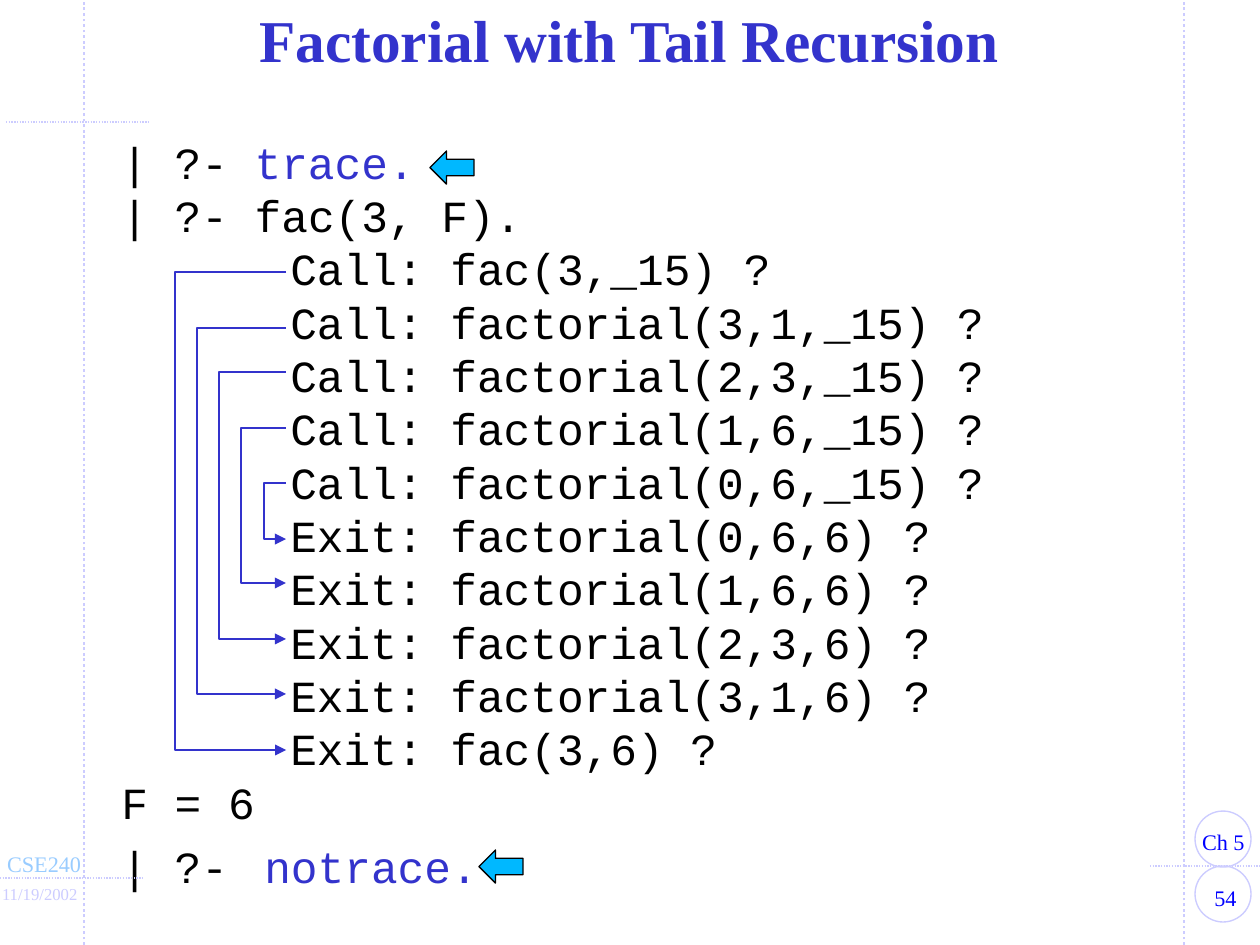
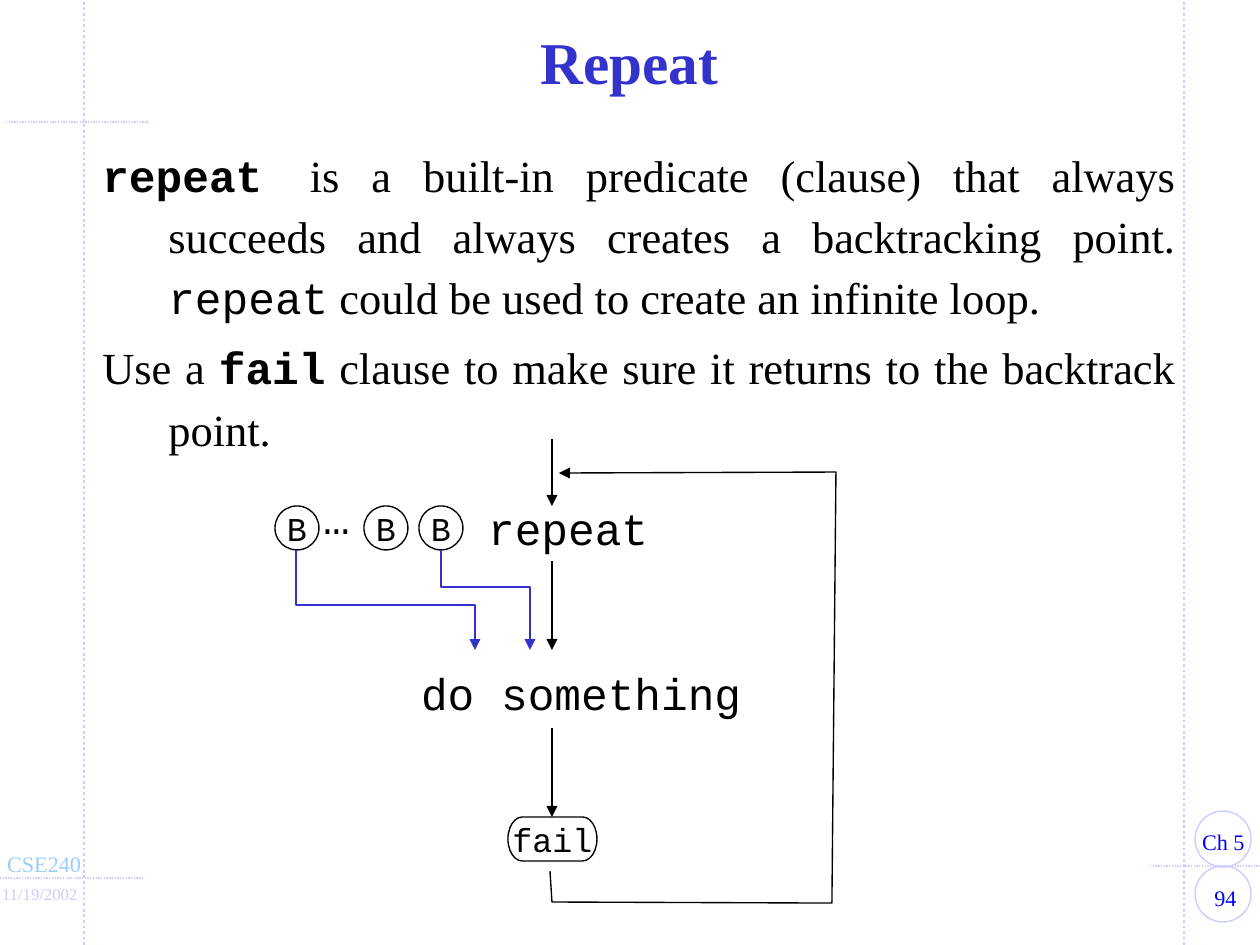
"""Build two slides on Prolog tracing and the repeat predicate."""
from lxml import etree
from pptx import Presentation
from pptx.dml.color import RGBColor
from pptx.enum.dml import MSO_LINE
from pptx.enum.shapes import MSO_CONNECTOR, MSO_SHAPE
from pptx.enum.text import MSO_ANCHOR, MSO_AUTO_SIZE, PP_ALIGN
from pptx.oxml.ns import qn
from pptx.util import Pt

PX = 6858
WIDTH, HEIGHT = 1260, 945
SERIF, MONO = "Times New Roman", "Courier New"
COLORS = {"accent": "3333CC", "text": "000000", "guide": "CCCCFF",
          "course": "99CCFF", "badge": "0000FF", "pointer": "00B8FF"}
LEFT, CENTER, JUSTIFY = PP_ALIGN.LEFT, PP_ALIGN.CENTER, PP_ALIGN.JUSTIFY
TOP, MIDDLE = MSO_ANCHOR.TOP, MSO_ANCHOR.MIDDLE
NO_FIT, GROW = MSO_AUTO_SIZE.NONE, MSO_AUTO_SIZE.SHAPE_TO_FIT_TEXT
STRAIGHT, DOTTED = MSO_CONNECTOR.STRAIGHT, MSO_LINE.ROUND_DOT
OVAL, TERMINATOR = MSO_SHAPE.OVAL, MSO_SHAPE.FLOWCHART_TERMINATOR
LEFT_ARROW = MSO_SHAPE.LEFT_ARROW

GUIDES = [((84, 945), (84, 0), 1.5), ((0, 878), (144, 878), 0.75),
          ((1184, 945), (1184, 0), 1.5), ((1150, 866), (1260, 866), 0.75),
          ((6, 122), (150, 122), 0.75)]
BADGES = [(1195, 866, 56, 56), (1195, 811, 56, 56)]
CHAPTER = ("Ch 5", (1189, 822, 69, 40), 12, "badge")
COURSE = ("CSE240", (-6, 844, 101, 40), 12, "course")
DATE = ("11/19/2002", (-11, 877, 103, 33), 9, "guide")
NUMBER_BOX = (1189, 878, 73, 40)

TRACE_TITLE = "Factorial with Tail Recursion"
FLUSH, CALL_INDENT, LAST_INDENT = (0, 0), (169, 0), (143, -143)
CALLS = ["Call: fac(3,_15) ?", "Call: factorial(3,1,_15) ?",
         "Call: factorial(2,3,_15) ?", "Call: factorial(1,6,_15) ?",
         "Call: factorial(0,6,_15) ?", "Exit: factorial(0,6,6) ?",
         "Exit: factorial(1,6,6) ?", "Exit: factorial(2,3,6) ?",
         "Exit: factorial(3,1,6) ?", "Exit: fac(3,6) ?"]
TRACE = [(FLUSH, [("| ?- ", MONO, "text", False),
                  ("trace.", MONO, "accent", False)]),
         (FLUSH, [("| ?- fac(3, F).", MONO, "text", False)]),
         *[(CALL_INDENT, [(call, MONO, "text", False)]) for call in CALLS],
         (FLUSH, [("F = 6", MONO, "text", False)]),
         (LAST_INDENT, [("| ?-\t", MONO, "text", False),
                        ("notrace.", MONO, "accent", False)])]
BRACKETS = [(483, 539), (428, 583), (372, 639), (328, 694), (272, 750)]
BRACKET_LEFTS, BRACKET_RIGHT = (264, 241, 219, 197, 175), 286
POINTERS = [(430, 151, 44, 33), (479, 850, 44, 33)]

REPEAT_TITLE = "Repeat"
HANGING = (66, -66)
REPEAT = [(HANGING, [
              ("repeat ", MONO, "text", True),
              ("is a built-in predicate (clause) that always succeeds and always "
               "creates a backtracking point. ", SERIF, "text", False),
              ("repeat", MONO, "text", False),
              (" could be used to create an infinite loop.", SERIF, "text", False)]),
          (HANGING, [
              ("Use a ", SERIF, "text", False), ("fail", MONO, "text", True),
              (" clause to make sure it returns to the backtrack point.",
               SERIF, "text", False)])]
FLOW_X = 552
FLOW = [(439, 506), (561, 650), (728, 817)]
STEPS = [("repeat", (475, 495, 187, 67)), ("do something", (408, 660, 347, 67)),
         ("…", (310, 484, 53, 67))]
NODES = [("B", OVAL, (275, 506, 44, 44)), ("B", OVAL, (364, 506, 44, 44)),
         ("B", OVAL, (419, 506, 44, 44)), ("fail", TERMINATOR, (508, 817, 89, 44))]
ROUTES = [([(441, 550), (441, 587), (530, 587), (530, 650)], "accent"),
          ([(296, 550), (296, 605), (475, 605), (475, 650)], "accent"),
          ([(550, 871), (552, 902), (832, 903), (836, 472), (559, 473)], "text")]


def px(values):
    return [v * PX for v in values]


def rgb(name):
    return RGBColor.from_string(COLORS[name])


def set_line(shape, color, width=0.75, arrow=False):
    shape.line.color.rgb = rgb(color)
    shape.line.width = Pt(width)
    if arrow:
        ln = shape.line._get_or_add_ln()
        etree.SubElement(ln, qn("a:tailEnd"), type="triangle")


def add_run(p, text, font, size, color, bold=False):
    r = p.add_run()
    r.text = text
    r.font.name, r.font.size, r.font.bold = font, Pt(size), bold
    r.font.color.rgb = rgb(color)


def add_line(s, start, end, color, width=0.75, arrow=False):
    line = s.shapes.add_connector(STRAIGHT, *px(start + end))
    set_line(line, color, width, arrow)
    etree.SubElement(line._element.spPr, qn("a:effectLst"))
    return line


def add_route(s, points, color):
    builder = s.shapes.build_freeform(*points[0], scale=PX)
    builder.add_line_segments(points[1:], close=False)
    route = builder.convert_to_shape()
    route.shadow.inherit = False
    route.fill.background()
    set_line(route, color, arrow=True)


def add_preset(s, kind, box, line, fill=None):
    shape = s.shapes.add_shape(kind, *px(box))
    shape.shadow.inherit = False
    if fill:
        shape.fill.solid()
        shape.fill.fore_color.rgb = rgb(fill)
    else:
        shape.fill.background()
    set_line(shape, line)
    return shape


def add_label(s, text, box, size, color, font=SERIF, align=LEFT, wrap=False):
    tf = s.shapes.add_textbox(*px(box)).text_frame
    tf.word_wrap, tf.auto_size = wrap, GROW
    p = tf.paragraphs[0]
    p.alignment = align
    add_run(p, text, font, size, color)


def place(shape, box, anchor):
    shape.left, shape.top, shape.width, shape.height = px(box)
    tf = shape.text_frame
    tf.word_wrap, tf.auto_size, tf.vertical_anchor = True, NO_FIT, anchor
    return tf


def fill_body(s, box, paragraphs, align, spacing, before):
    tf = place(s.placeholders[1], box, TOP)
    for i, ((margin, indent), runs) in enumerate(paragraphs):
        p = tf.add_paragraph() if i else tf.paragraphs[0]
        p.alignment, p.line_spacing, p.space_before = align, spacing, Pt(before)
        pPr = p._p.get_or_add_pPr()
        pPr.set("marL", str(margin * PX))
        pPr.set("indent", str(indent * PX))
        etree.SubElement(pPr, qn("a:buNone"))
        for text, font, color, bold in runs:
            add_run(p, text, font, 24, color, bold)
    return tf


def new_slide(prs, title, title_top, number):
    s = prs.slides.add_slide(prs.slide_layouts[1])
    for start, end, width in GUIDES:
        add_line(s, start, end, "guide", width).line.dash_style = DOTTED
    for box in BADGES:
        add_preset(s, OVAL, box, "guide")
    add_label(s, number, NUMBER_BOX, 12, "badge", align=CENTER, wrap=True)
    add_label(s, *CHAPTER, align=CENTER)
    add_label(s, *COURSE)
    add_label(s, *DATE)
    p = place(s.shapes.title, (92, title_top, 1075, 89), MIDDLE).paragraphs[0]
    p.alignment, p.line_spacing, p.space_before = CENTER, 0.85, Pt(6.4)
    add_run(p, title, SERIF, 32, "accent", True)
    return s


def build_trace(prs):
    s = new_slide(prs, TRACE_TITLE, 0, "54")
    tf = fill_body(s, (108, 128, 1067, 769), TRACE, LEFT, 1.0, 0)
    tf.paragraphs[-1].line_spacing = 1.2
    for x, (top, bottom) in zip(BRACKET_LEFTS, BRACKETS):
        add_route(s, [(BRACKET_RIGHT, top), (x, top), (x, bottom),
                      (BRACKET_RIGHT, bottom)], "accent")
    for box in POINTERS:
        add_preset(s, LEFT_ARROW, box, "text", "pointer")


def build_repeat(prs):
    s = new_slide(prs, REPEAT_TITLE, 22, "94")
    fill_body(s, (89, 133, 1100, 389), REPEAT, JUSTIFY, 1.15, 4.8)
    for top, bottom in FLOW:
        add_line(s, (FLOW_X, top), (FLOW_X, bottom), "text", arrow=True)
    for text, box in STEPS:
        add_label(s, text, box, 24, "text", MONO)
    for text, kind, box in NODES:
        tf = add_preset(s, kind, box, "text").text_frame
        tf.word_wrap, tf.vertical_anchor = False, MIDDLE
        p = tf.paragraphs[0]
        p.alignment = CENTER
        add_run(p, text, MONO, 18, "text")
    for points, color in ROUTES:
        add_route(s, points, color)


def main():
    prs = Presentation()
    prs.slide_width, prs.slide_height = px((WIDTH, HEIGHT))
    build_trace(prs)
    build_repeat(prs)
    prs.save("out.pptx")


if __name__ == "__main__":
    main()
